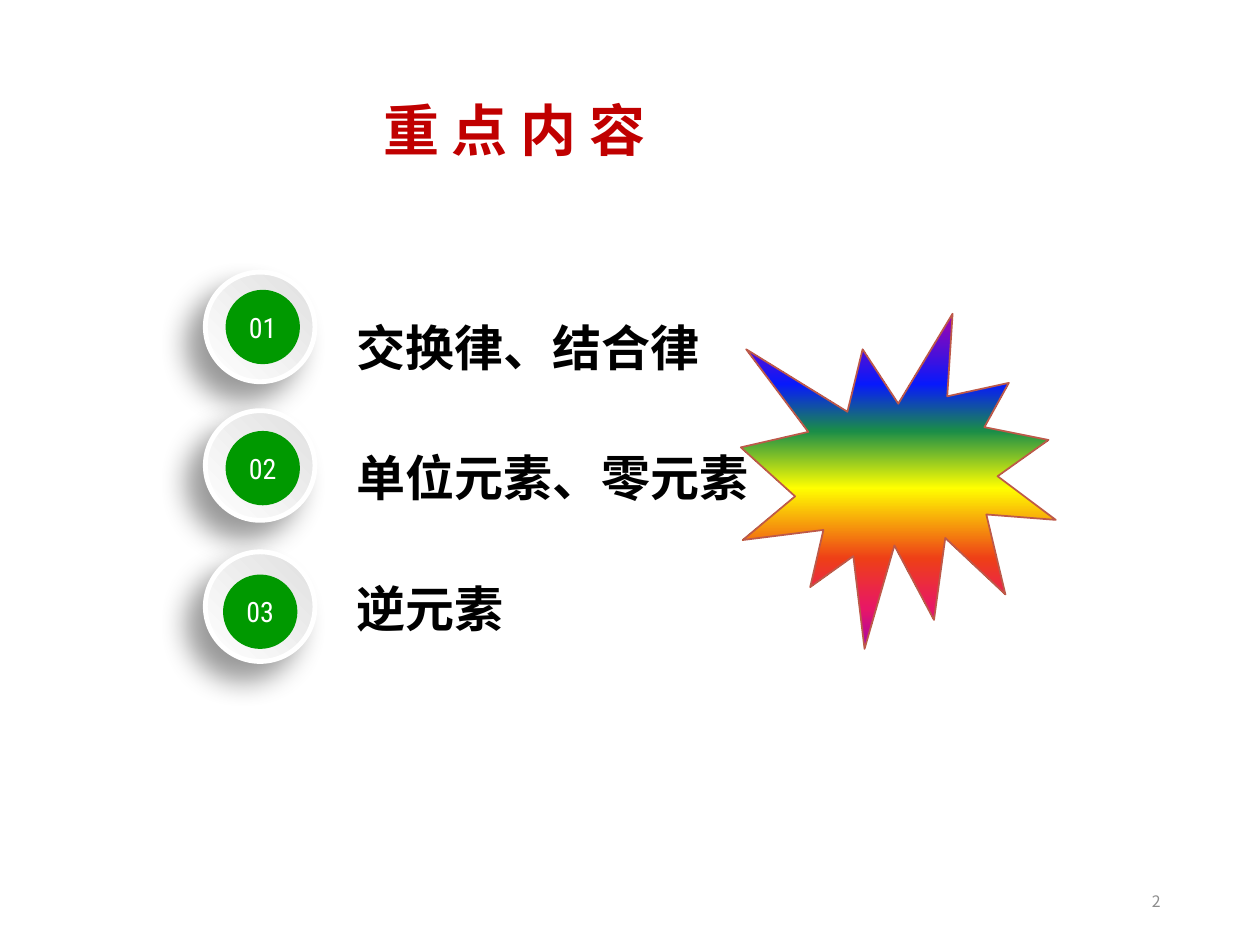
from lxml import etree
from pptx import Presentation
from pptx.dml.color import RGBColor
from pptx.enum import shapes, text
from pptx.oxml import ns
from pptx.util import Inches, Pt

RED = RGBColor(0xC0, 0x00, 0x00)
BLACK = RGBColor(0x00, 0x00, 0x00)
WHITE = RGBColor(0xFF, 0xFF, 0xFF)
GRAY = RGBColor(0x8C, 0x8C, 0x8C)
SILVER = RGBColor(0xE0, 0xE0, 0xE0)
GREEN = RGBColor(0x00, 0x99, 0x00)
RUST = RGBColor(0xBD, 0x59, 0x49)
VIOLET = RGBColor(0xA6, 0x03, 0xAB)
BLUE = RGBColor(0x08, 0x19, 0xFB)
TEAL = RGBColor(0x1A, 0x8D, 0x48)
YELLOW = RGBColor(0xFF, 0xFF, 0x00)
ORANGE = RGBColor(0xEE, 0x3F, 0x17)
PINK = RGBColor(0xE8, 0x17, 0x66)

CJK = "Noto Sans CJK SC"
RING_STOPS = [(0, SILVER), (100, WHITE)]
RAINBOW = [(0, VIOLET), (21, BLUE), (35, TEAL), (52, YELLOW),
           (73, ORANGE), (88, PINK), (100, VIOLET)]
TOPICS = ["交换律、结合律", "单位元素、零元素", "逆元素"]
BADGES = [("01", 2.16, 1.79, 2.30), ("02", 3.26, 1.79, 3.42), ("03", 4.38, 1.77, 4.56)]


def child(parent, tag, **attributes):
    """Append a DrawingML element and return it."""
    node = etree.SubElement(parent, ns.qn(f"a:{tag}"))
    for key, value in attributes.items():
        node.set(key, str(value))
    return node


class SlideBuilder:
    """Holds the text styles and the current slide."""

    styles = {
        "title": {"size": Pt(32), "bold": True, "name": CJK, "color": RED},
        "topic": {"size": Pt(28), "bold": True, "name": CJK, "color": BLACK},
        "badge": {"size": Pt(16), "bold": False, "name": "Roboto Condensed", "color": WHITE},
        "number": {"size": Pt(9), "bold": False, "name": CJK, "color": GRAY},
    }

    def __init__(self, slide):
        self.slide = slide

    def place(self, item, left, top, width, height):
        """Move an item to a position given in inches."""
        box = {"left": left, "top": top, "width": width, "height": height}
        for key, value in box.items():
            setattr(item, key, Inches(value))

    def add_words(self, paragraph, wording, style, **layout):
        """Add a styled run and set the paragraph layout."""
        for key, value in layout.items():
            setattr(paragraph, key, value)
        run = paragraph.add_run()
        run.text = wording
        for key, value in self.styles[style].items():
            if key == "color":
                run.font.color.rgb = value
            else:
                setattr(run.font, key, value)
        child(run.font._element, "ea", typeface=self.styles[style]["name"])

    def frame(self, item, anchor):
        """Prepare a wrapping text frame of fixed size."""
        frame = item.text_frame
        settings = {"word_wrap": True, "auto_size": text.MSO_AUTO_SIZE.NONE,
                    "vertical_anchor": anchor}
        for key, value in settings.items():
            setattr(frame, key, value)
        return frame

    def title(self, wording, *box):
        """Fill the title placeholder."""
        heading = self.slide.shapes.title
        self.place(heading, *box)
        frame = self.frame(heading, text.MSO_ANCHOR.MIDDLE)
        self.add_words(frame.paragraphs[0], wording, "title",
                       alignment=text.PP_ALIGN.LEFT, line_spacing=0.9)

    def topics(self, wordings, *box):
        """Fill the body placeholder with one paragraph per topic."""
        body = self.slide.placeholders[1]
        self.place(body, *box)
        frame = self.frame(body, text.MSO_ANCHOR.TOP)
        for index, wording in enumerate(wordings):
            paragraph = frame.add_paragraph() if index else frame.paragraphs[0]
            properties = paragraph._p.get_or_add_pPr()
            properties.set("marL", str(Inches(0.19)))
            properties.set("indent", str(-Inches(0.19)))
            child(properties, "buNone")
            self.add_words(paragraph, wording, "topic", line_spacing=2.0,
                           space_before=Pt(7.5 if index else 0))

    def shape(self, kind, *box):
        """Add a preset shape without a shadow."""
        item = self.slide.shapes.add_shape(kind, *map(Inches, box))
        item.shadow.inherit = False
        return item

    def gradient(self, kind, stops, angle, outline, weight, *box):
        """Add an outlined shape with a linear gradient."""
        item = self.shape(kind, *box)
        item.line.color.rgb = outline
        item.line.width = Pt(weight)
        item.fill.gradient()
        fill = item._element.spPr.find(ns.qn("a:gradFill"))
        for part in list(fill):
            fill.remove(part)
        stop_list = child(fill, "gsLst")
        for position, color in stops:
            stop = child(stop_list, "gs", pos=position * 1000)
            child(stop, "srgbClr", val=color)
        child(fill, "lin", ang=angle * 60000, scaled=0)
        return item

    def badge(self, label, ring_top, left, top):
        """Add a shadowed ring with a numbered disc inside."""
        ring = self.gradient(shapes.MSO_SHAPE.OVAL, RING_STOPS, 135, WHITE, 2.75,
                             1.63, ring_top, 0.87, 0.87)
        effects = ring._element.spPr.find(ns.qn("a:effectLst"))
        shadow = child(effects, "outerShdw", blurRad=Pt(16), dist=Pt(14),
                       dir=135 * 60000, algn="tr", rotWithShape=0)
        child(child(shadow, "srgbClr", val=BLACK), "alpha", val=40000)
        disc = self.shape(shapes.MSO_SHAPE.OVAL, left, top, 0.59, 0.59)
        disc.fill.solid()
        disc.fill.fore_color.rgb = GREEN
        disc.line.fill.background()
        frame = self.frame(disc, text.MSO_ANCHOR.MIDDLE)
        for side in ("left", "top", "right", "bottom"):
            setattr(frame, f"margin_{side}", 0)
        self.add_words(frame.paragraphs[0], label, "badge",
                       alignment=text.PP_ALIGN.CENTER)

    def number(self, wording, *box):
        """Add the slide number."""
        footer = self.slide.shapes.add_textbox(*map(Inches, box))
        frame = self.frame(footer, text.MSO_ANCHOR.MIDDLE)
        self.add_words(frame.paragraphs[0], wording, "number",
                       alignment=text.PP_ALIGN.RIGHT)


def main():
    """Build and save the slide."""
    deck = Presentation()
    deck.slide_width, deck.slide_height = Inches(10), Inches(7.5)
    builder = SlideBuilder(deck.slides.add_slide(deck.slide_layouts[1]))
    builder.topics(TOPICS, 2.73, 2, 4.44, 3.29)
    for badge in BADGES:
        builder.badge(*badge)
    builder.title("重 点 内 容", 2.94, 0.33, 4.98, 1.45)
    builder.gradient(shapes.MSO_SHAPE.EXPLOSION1, RAINBOW, 90, RUST, 1,
                     5.88, 2.49, 2.5, 2.66)
    builder.number("2", 7.06, 6.95, 2.25, 0.4)
    deck.save("out.pptx")


if __name__ == "__main__":
    main()
